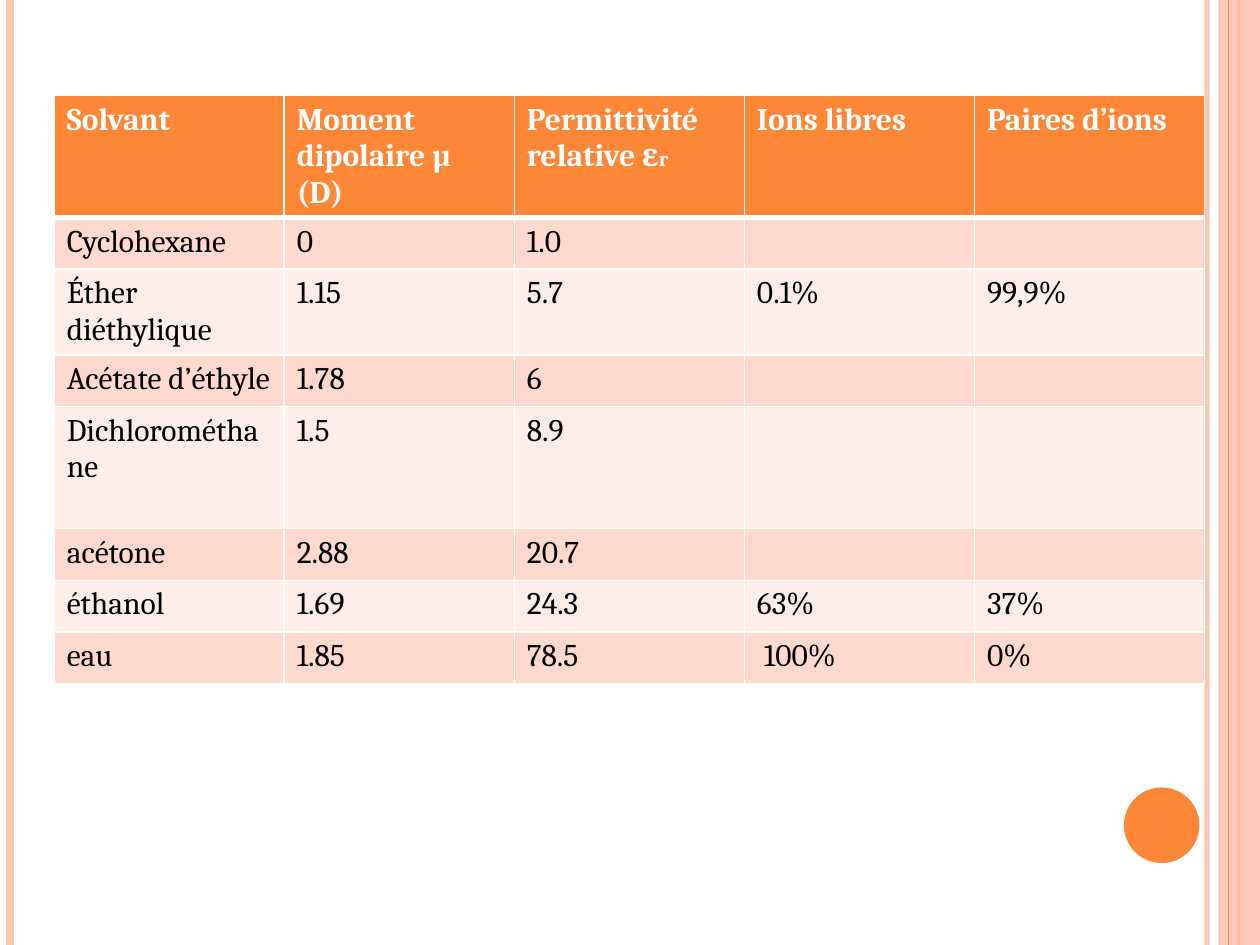
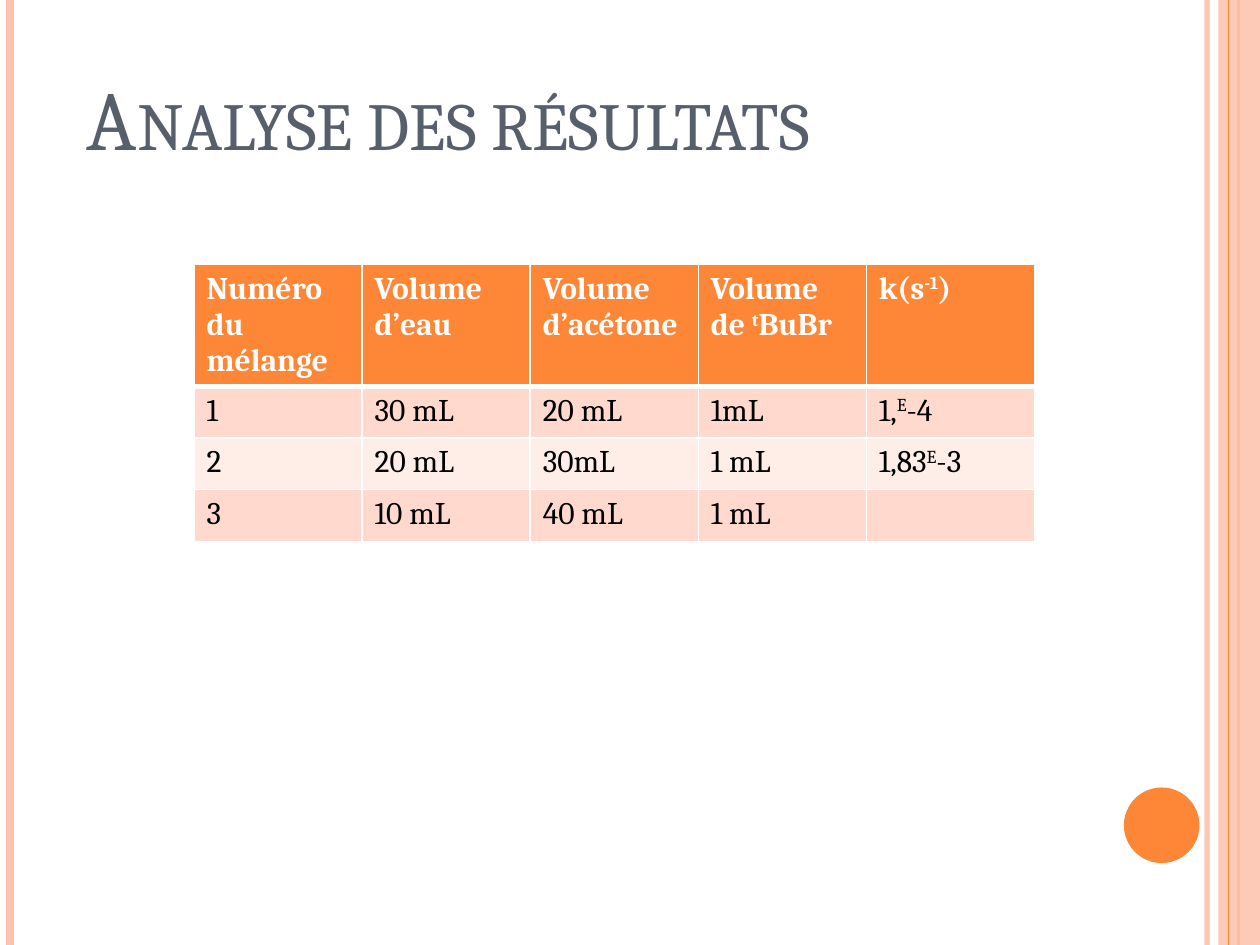
from pptx import Presentation
from pptx.dml.color import RGBColor
from pptx.enum import shapes, text
from pptx.oxml import parse_xml
from pptx.oxml.ns import nsdecls, qn
from pptx.util import Inches, Pt
from lxml import etree

FONT = "Cambria"
WHITE = RGBColor(0xFF, 0xFF, 0xFF)
BLACK = RGBColor(0, 0, 0)
ORANGE = RGBColor(0xFE, 0x86, 0x37)
PEACH = RGBColor(0xFE, 0xC3, 0xAE)
SLATE = RGBColor(0x57, 0x5F, 0x6D)
ROW_FILLS = (RGBColor(0xFF, 0xD9, 0xCE), RGBColor(0xFF, 0xED, 0xE8))
WIDTH, HEIGHT = 10, 7.5
TITLE_ONLY, BLANK = 5, 6

# Run formats used inside table cells
SUPER = {"baseline": 30}
INDEX = {"size": 12}

SOLVENTS = [
    ["Solvant", "Moment dipolaire µ (D)",
     [("Permittivité relative ε", {}), ("r", INDEX)], "Ions libres", "Paires d’ions"],
    ["Cyclohexane", "0", "1.0", "", ""],
    ["Éther diéthylique", "1.15", "5.7", "0.1%", "99,9%"],
    ["Acétate d’éthyle", "1.78", "6", "", ""],
    ["Dichlorométhane", "1.5", "8.9", "", ""],
    ["acétone", "2.88", "20.7", "", ""],
    ["éthanol", "1.69", "24.3", "63%", "37%"],
    ["eau", "1.85", "78.5", " 100%", "0%"],
]
SOLVENT_HEIGHTS = [0.95, 0.41, 0.68, 0.41, 0.97, 0.41, 0.41, 0.41]

MIXTURES = [
    ["Numéro du mélange", "Volume d’eau", "Volume d’acétone",
     [("Volume de ", {}), ("t", SUPER), ("BuBr", {})],
     [("k(s", {}), ("-1", SUPER), (")", {})]],
    ["1", "30 mL", "20 mL", "1mL", [("1,", {}), ("E", SUPER), ("-4", {})]],
    ["2", "20 mL", "30mL", "1 mL", [("1,83", {}), ("E", SUPER), ("-3", {})]],
    ["3", "10 mL", "40 mL", "1 mL", ""],
]
MIXTURE_HEIGHTS = [0.95, 0.41, 0.41, 0.41]


def add_text(paragraph, words, size=18, color=BLACK, bold=False, baseline=0, small_caps=False):
    run = paragraph.add_run()
    run.text = words
    run.font.name = FONT
    run.font.size = Pt(size)
    run.font.bold = bold
    run.font.color.rgb = color
    properties = run.font._element
    if baseline:
        properties.set("baseline", str(baseline * 1000))
    if small_caps:
        properties.set("cap", "small")


def set_alpha(color_parent, percent):
    color = color_parent.find(".//" + qn("a:srgbClr"))
    etree.SubElement(color, qn("a:alpha")).set("val", str(percent * 1000))


def add_stripe(slide, x, color, width, alpha=None):
    stripe = slide.shapes.add_connector(
        shapes.MSO_CONNECTOR.STRAIGHT, Inches(x), 0, Inches(x), Inches(HEIGHT))
    stripe.line.color.rgb = color
    stripe.line.width = Pt(width)
    properties = stripe._element.spPr
    if alpha:
        set_alpha(properties, alpha)
    etree.SubElement(properties, qn("a:effectLst"))


def add_block(slide, kind, box, color):
    block = slide.shapes.add_shape(kind, *map(Inches, box))
    block.shadow.inherit = False
    block.fill.solid()
    block.fill.fore_color.rgb = color
    block.line.fill.background()
    return block


def add_frame(slide):
    # Stripes on both edges, right band and page disc
    add_stripe(slide, 9.58, PEACH, 3, alpha=93)
    add_stripe(slide, 0.08, PEACH, 4.5)
    add_stripe(slide, 9.83, ORANGE, 1.5)
    band = add_block(slide, shapes.MSO_SHAPE.RECTANGLE, (9.67, 0, 0.33, HEIGHT), PEACH)
    set_alpha(band._element.spPr, 87)
    add_stripe(slide, 9.75, ORANGE, 0.75)
    add_block(slide, shapes.MSO_SHAPE.OVAL, (8.92, 6.25, 0.6, 0.6), ORANGE)


def add_borders(cell, top, bottom):
    properties = cell._tc.get_or_add_tcPr()
    for side, width in (("L", 1), ("R", 1), ("T", top), ("B", bottom)):
        properties.append(parse_xml(
            f'<a:ln{side} {nsdecls("a")} w="{Pt(width)}"><a:solidFill>'
            f'<a:srgbClr val="{WHITE}"/></a:solidFill></a:ln{side}>'))


def add_data_table(slide, rows, heights, left, top, width):
    columns = len(rows[0])
    table = slide.shapes.add_table(
        len(rows), columns, Inches(left), Inches(top), Inches(width), Inches(sum(heights))).table
    for column in table.columns:
        column.width = Inches(width / columns)
    for i, (values, height) in enumerate(zip(rows, heights)):
        table.rows[i].height = Inches(height)
        header = i == 0
        for j, value in enumerate(values):
            cell = table.cell(i, j)
            add_borders(cell, top=3 if i == 1 else 1, bottom=3 if header else 1)
            cell.fill.solid()
            cell.fill.fore_color.rgb = ORANGE if header else ROW_FILLS[(i - 1) % 2]
            pieces = [(value, {})] if isinstance(value, str) else value
            for words, extra in pieces:
                if words:
                    add_text(cell.text_frame.paragraphs[0], words, bold=header,
                             color=WHITE if header else BLACK, **extra)


def set_title(slide, words, left, top, width, height):
    title = slide.shapes.title
    title.left, title.top, title.width, title.height = map(Inches, (left, top, width, height))
    frame = title.text_frame
    frame.word_wrap = True
    frame.auto_size = text.MSO_AUTO_SIZE.NONE
    frame.vertical_anchor = text.MSO_ANCHOR.BOTTOM
    frame.paragraphs[0].alignment = text.PP_ALIGN.LEFT
    add_text(frame.paragraphs[0], words, size=48, color=SLATE, small_caps=True)


def add_slide(deck, layout):
    slide = deck.slides.add_slide(deck.slide_layouts[layout])
    add_frame(slide)
    return slide


def main():
    deck = Presentation()
    deck.slide_width, deck.slide_height = Inches(WIDTH), Inches(HEIGHT)

    # Solvent properties
    solvents = add_slide(deck, BLANK)
    add_data_table(solvents, SOLVENTS, SOLVENT_HEIGHTS, left=0.43, top=0.76, width=9.13)

    # Analysis of results
    results = add_slide(deck, TITLE_ONLY)
    add_data_table(results, MIXTURES, MIXTURE_HEIGHTS, left=1.54, top=2.1, width=6.67)
    set_title(results, "Analyse des résultats", left=0.59, top=0.13, width=9, height=1.25)

    deck.save("out.pptx")


if __name__ == "__main__":
    main()
